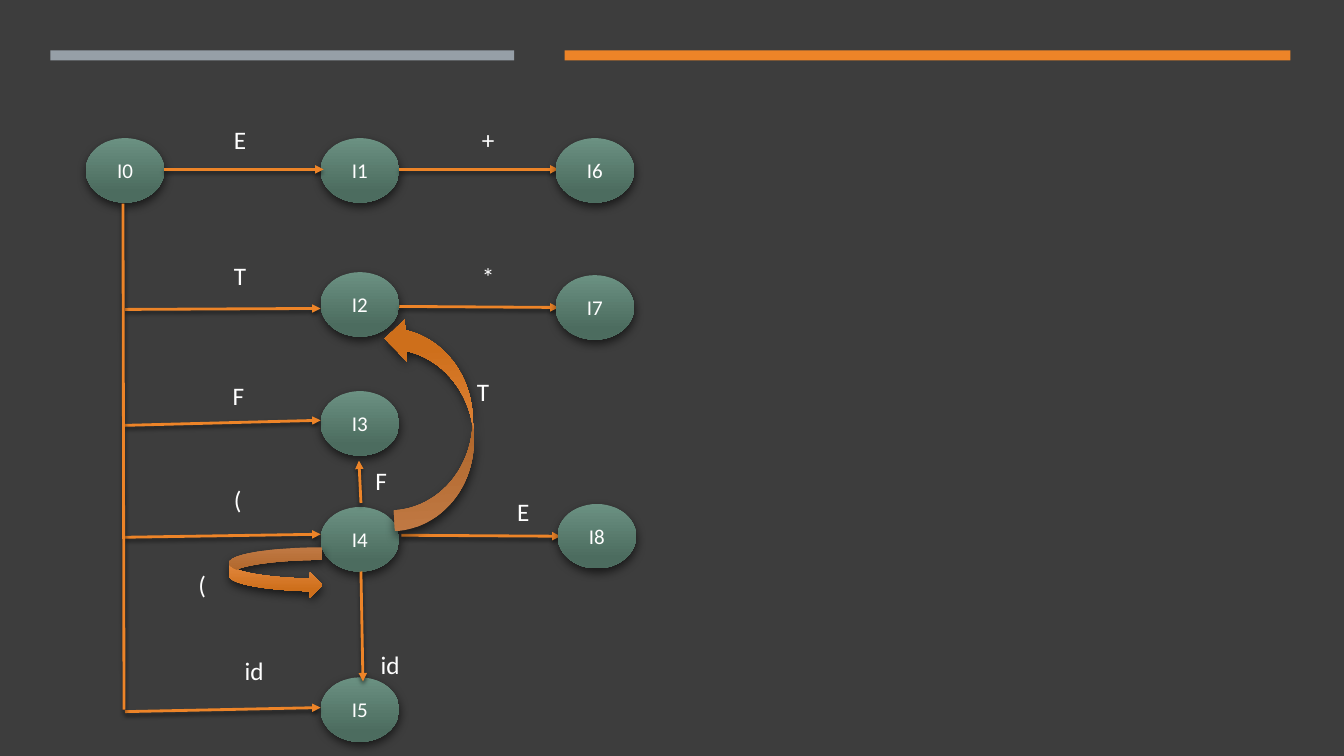
from dataclasses import dataclass
from typing import Any, Optional

from lxml.etree import SubElement
from pptx import Presentation
from pptx.dml.color import RGBColor as Rgb
from pptx.enum.shapes import MSO_CONNECTOR as Link, MSO_SHAPE as Preset
from pptx.enum.text import MSO_ANCHOR as Anchor, MSO_AUTO_SIZE as AutoSize, PP_ALIGN as Align
from pptx.oxml.ns import qn
from pptx.util import Inches, Pt


@dataclass(frozen=True)
class Theme:
    backdrop: Rgb = Rgb(0x3D, 0x3D, 0x3D)
    grey: Rgb = Rgb(0x96, 0x9F, 0xA7)
    orange: Rgb = Rgb(0xED, 0x84, 0x28)
    white: Rgb = Rgb(0xFF, 0xFF, 0xFF)
    state_shades: tuple[Rgb, Rgb] = (Rgb(0x6B, 0x91, 0x82), Rgb(0x4C, 0x6C, 0x5F))
    arrow_shades: tuple[Rgb, Rgb] = (Rgb(0xF0, 0x98, 0x56), Rgb(0xCE, 0x6F, 0x1B))
    font: str = "Calibri"
    state_size: int = 15
    symbol_size: int = 18
    edge_width: int = 2


@dataclass(frozen=True)
class Shadow:
    opacity: int
    blur: int
    distance: int
    angle: int


@dataclass(frozen=True)
class State:
    name: str
    left: float
    top: float


@dataclass(frozen=True)
class Edge:
    start: tuple[float, float]
    end: tuple[float, float]
    arrow: bool = True


@dataclass(frozen=True)
class Symbol:
    text: str
    left: float
    top: float
    width: float = 0.41
    align: Optional[Align] = None


@dataclass(frozen=True)
class CurvedArrow:
    left: float
    top: float
    width: float
    height: float
    rotation: float = 0


THEME = Theme()
SHAPE_SHADOW = Shadow(60, 7, 3, 84)
EDGE_SHADOW = Shadow(55, 3, 2, 90)
STATE_WIDTH, STATE_HEIGHT = 0.78, 0.64
TRUNK, SECOND, THIRD = 1.24, 3.18, 5.51

BARS = [(0.5, 4.6, THEME.grey), (5.6, 7.2, THEME.orange)]
INNER_STATES = [State("I0", 0.85, 1.37)] + [
    State(f"I{number}", SECOND, top)
    for number, top in enumerate((1.37, 2.7, 3.88, 5.03, 6.72), start=1)
]
OUTER_STATES = [State("I6", THIRD, 1.37), State("I7", THIRD, 2.73), State("I8", 5.53, 5)]
EDGES = [
    Edge((1.63, 1.68), (3.21, 1.68)),
    *(Edge((TRUNK, start), (SECOND, end))
      for start, end in ((3.07, 3.06), (4.22, 4.17), (5.33, 5.3), (7.06, 7.02))),
    Edge((1.22, 2.02), (1.23, 7.04), arrow=False),
    Edge((3.96, 1.68), (5.54, 1.68)),
    Edge((3.96, 3.04), (5.54, 3.05)),
    Edge((3.98, 5.31), (5.56, 5.32)),
    Edge((3.58, 5.67), (3.6, 6.76)),
    Edge((3.58, 4.99), (3.56, 4.57)),
]
SYMBOLS = [
    Symbol("E", 2.22, 1.18),
    Symbol("T", 2.22, 2.53),
    Symbol("F", 2.21, 3.72),
    Symbol("(", 2.22, 4.76),
    Symbol("id", 2.22, 6.45, 0.6, Align.CENTER),
    Symbol("+", 4.68, 1.18),
    Symbol("*", 4.68, 2.54),
    Symbol("E", 5.03, 4.87),
    Symbol("id", 3.57, 6.39, 0.6, Align.CENTER),
    Symbol("T", 4.49, 3.68, 0.6, Align.CENTER),
    Symbol("F", 3.48, 4.57, 0.6, Align.CENTER),
    Symbol("(", 1.87, 5.6),
]
CURVED_ARROWS = [CurvedArrow(3.86, 3.13, 0.83, 2.12, 177), CurvedArrow(2.27, 5.43, 0.93, 0.5)]


def apply_format(target: Any, values: dict[str, Any]) -> None:
    for key, value in values.items():
        setattr(target, key, value)


def cast_shadow(drawn: Any, shadow: Shadow) -> None:
    properties = drawn._element.spPr
    for effects in properties.findall(qn("a:effectLst")):
        properties.remove(effects)
    outer = SubElement(
        SubElement(properties, qn("a:effectLst")), qn("a:outerShdw"),
        blurRad=str(Pt(shadow.blur)), dist=str(Pt(shadow.distance)),
        dir=str(shadow.angle * 60000), algn="ctr", rotWithShape="0",
    )
    tone = SubElement(outer, qn("a:srgbClr"), val="000000")
    SubElement(tone, qn("a:alpha"), val=str(shadow.opacity * 1000))


def shade(shape: Any, shades: tuple[Rgb, Rgb]) -> None:
    shape.fill.gradient()
    shape.fill.gradient_angle = 270
    for stop, position, color in zip(shape.fill.gradient_stops, (0, 0.84), shades):
        stop.position = position
        stop.color.rgb = color
    shape.line.fill.background()
    cast_shadow(shape, SHAPE_SHADOW)


def write(shape: Any, text: str, size: int, align: Optional[Align],
          frame_format: dict[str, Any]) -> None:
    frame = shape.text_frame
    apply_format(frame, frame_format)
    paragraph = frame.paragraphs[0]
    paragraph.alignment = align
    run = paragraph.add_run()
    run.text = text
    apply_format(run.font, {"name": THEME.font, "size": Pt(size)})
    run.font.color.rgb = THEME.white


def draw_bar(slide: Any, left: float, width: float, color: Rgb) -> None:
    bar = slide.shapes.add_shape(
        Preset.RECTANGLE, Inches(left), Inches(0.5), Inches(width), Inches(0.1))
    bar.shadow.inherit = False
    bar.fill.solid()
    bar.fill.fore_color.rgb = color
    bar.line.fill.background()


def draw_state(slide: Any, state: State) -> None:
    ellipse = slide.shapes.add_shape(
        Preset.OVAL, Inches(state.left), Inches(state.top),
        Inches(STATE_WIDTH), Inches(STATE_HEIGHT))
    shade(ellipse, THEME.state_shades)
    write(ellipse, state.name, THEME.state_size, Align.CENTER,
          {"word_wrap": True, "vertical_anchor": Anchor.MIDDLE})


def draw_edge(slide: Any, edge: Edge) -> None:
    ends = [Inches(length) for length in (*edge.start, *edge.end)]
    connector = slide.shapes.add_connector(Link.STRAIGHT, *ends)
    connector.line.color.rgb = THEME.orange
    connector.line.width = Pt(THEME.edge_width)
    if edge.arrow:
        SubElement(connector.line._get_or_add_ln(), qn("a:tailEnd"), type="triangle")
    cast_shadow(connector, EDGE_SHADOW)


def draw_symbol(slide: Any, symbol: Symbol) -> None:
    box = slide.shapes.add_textbox(
        Inches(symbol.left), Inches(symbol.top), Inches(symbol.width), Inches(0.4))
    write(box, symbol.text, THEME.symbol_size, symbol.align,
          {"word_wrap": True, "auto_size": AutoSize.SHAPE_TO_FIT_TEXT})


def draw_curved_arrow(slide: Any, arrow: CurvedArrow) -> None:
    curve = slide.shapes.add_shape(
        Preset.CURVED_RIGHT_ARROW, Inches(arrow.left), Inches(arrow.top),
        Inches(arrow.width), Inches(arrow.height))
    curve.rotation = arrow.rotation
    shade(curve, THEME.arrow_shades)


def main() -> None:
    deck = Presentation()
    apply_format(deck, {"slide_width": Inches(13.33), "slide_height": Inches(7.5)})
    slide = deck.slides.add_slide(deck.slide_layouts[6])
    slide.background.fill.solid()
    slide.background.fill.fore_color.rgb = THEME.backdrop
    for left, width, color in BARS:
        draw_bar(slide, left, width, color)
    for draw, parts in ((draw_state, INNER_STATES), (draw_edge, EDGES),
                        (draw_state, OUTER_STATES), (draw_curved_arrow, CURVED_ARROWS),
                        (draw_symbol, SYMBOLS)):
        for part in parts:
            draw(slide, part)
    deck.save("out.pptx")


if __name__ == "__main__":
    main()
